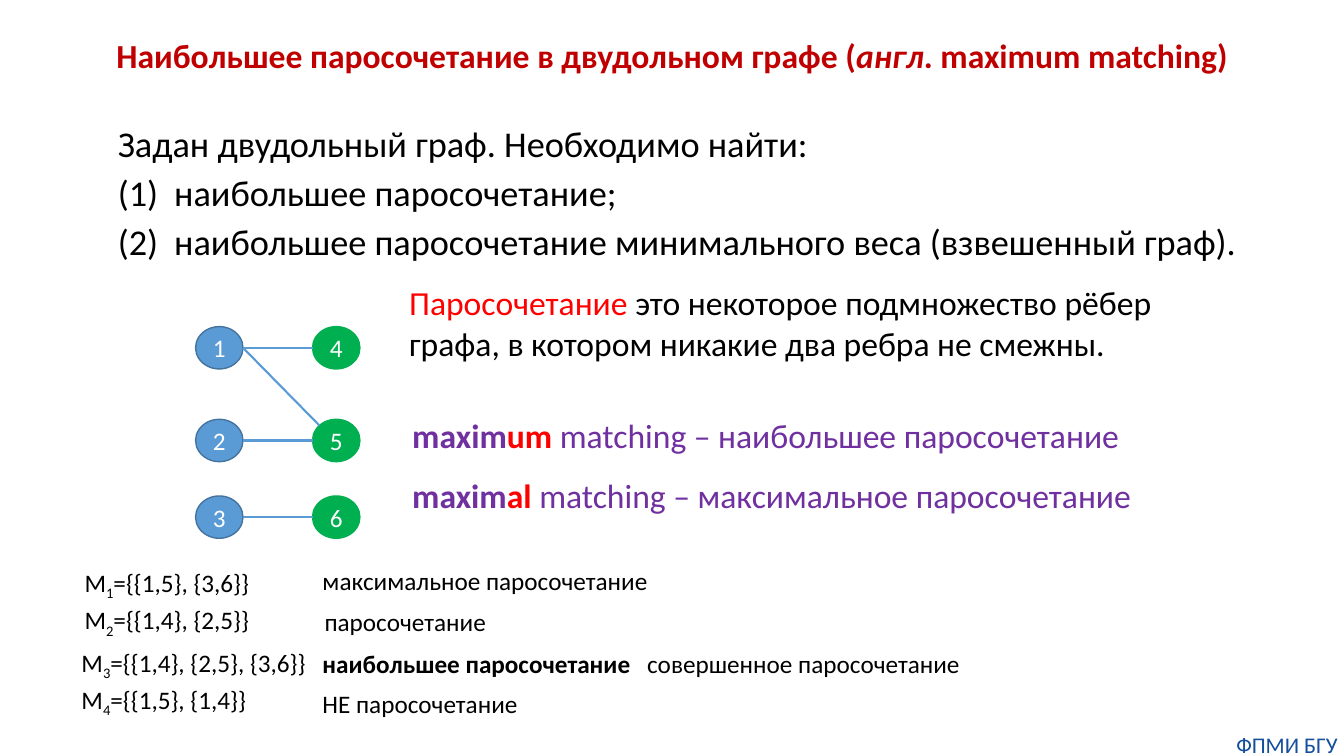
import math

from lxml import etree
from pptx import Presentation
from pptx.dml.color import RGBColor
from pptx.enum.shapes import MSO_CONNECTOR, MSO_SHAPE
from pptx.enum.text import MSO_ANCHOR, MSO_AUTO_SIZE, PP_ALIGN
from pptx.oxml.ns import qn
from pptx.util import Inches, Pt

STRAIGHT = MSO_CONNECTOR.STRAIGHT
ELLIPSE = MSO_SHAPE.OVAL
MIDDLE = MSO_ANCHOR.MIDDLE
FIT_SHAPE = MSO_AUTO_SIZE.SHAPE_TO_FIT_TEXT
CENTER = PP_ALIGN.CENTER

FONT = "Calibri"
BLACK = RGBColor(0x00, 0x00, 0x00)
WHITE = RGBColor(0xFF, 0xFF, 0xFF)
TITLE_RED = RGBColor(0xC0, 0x00, 0x00)
RED = RGBColor(0xFF, 0x00, 0x00)
PURPLE = RGBColor(0x70, 0x30, 0xA0)
BLUE = RGBColor(0x5B, 0x9B, 0xD5)
DARK_BLUE = RGBColor(0x43, 0x73, 0x9E)
GREEN = RGBColor(0x00, 0xB0, 0x50)
FOOTER_BLUE = RGBColor(0x14, 0x4E, 0x9D)

VERTEX_WIDTH = 0.47
VERTEX_HEIGHT = 0.42


def style_paragraph(paragraph, size, color):
    paragraph.font.name = FONT
    paragraph.font.size = Pt(size)
    paragraph.font.color.rgb = color


def add_run(paragraph, text, color=None, bold=None, italic=None, baseline=None):
    run = paragraph.add_run()
    run.text = text
    run.font.bold = bold
    run.font.italic = italic
    if color is not None:
        run.font.color.rgb = color
    if baseline is not None:
        run.font._element.set("baseline", str(baseline))


def add_text(slide, box, runs, size, color=BLACK, wrap=False):
    shape = slide.shapes.add_textbox(*map(Inches, box))
    frame = shape.text_frame
    frame.word_wrap = wrap
    frame.auto_size = FIT_SHAPE
    paragraph = frame.paragraphs[0]
    style_paragraph(paragraph, size, color)
    for text, options in runs:
        add_run(paragraph, text, **options)
    return shape


def add_title(slide, box):
    runs = [
        ("Наибольшее паросочетание в двудольном графе (", {"bold": True}),
        ("англ", {"bold": True, "italic": True}),
        (". maximum matching)", {"bold": True}),
    ]
    shape = add_text(slide, box, runs, 24, TITLE_RED, wrap=True)
    frame = shape.text_frame
    frame.auto_size = MSO_AUTO_SIZE.NONE
    frame.vertical_anchor = MIDDLE
    frame.paragraphs[0].alignment = CENTER
    frame.paragraphs[0].line_spacing = 0.9


def add_task(slide, box):
    frame = slide.shapes.add_textbox(*map(Inches, box)).text_frame
    frame.word_wrap = True
    lines = [
        ("Задан двудольный граф. Необходимо найти:", False),
        ("наибольшее паросочетание;", True),
        ("наибольшее паросочетание минимального веса (взвешенный граф).", True),
    ]
    for index, (text, numbered) in enumerate(lines):
        paragraph = frame.add_paragraph() if index else frame.paragraphs[0]
        style_paragraph(paragraph, 25.9, BLACK)
        paragraph.line_spacing = 0.8
        paragraph.space_before = Pt(10)
        add_run(paragraph, text)
        if numbered:
            properties = paragraph._p.get_or_add_pPr()
            properties.set("marL", str(Inches(0.56)))
            properties.set("indent", str(Inches(-0.56)))
            numbering = etree.Element(qn("a:buAutoNum"), type="arabicParenBoth")
            properties.find(qn("a:spcBef")).addnext(numbering)


def add_vertex(slide, left, top, label, fill, outline):
    shape = slide.shapes.add_shape(
        ELLIPSE, Inches(left), Inches(top), Inches(VERTEX_WIDTH), Inches(VERTEX_HEIGHT)
    )
    shape.shadow.inherit = False
    shape.fill.solid()
    shape.fill.fore_color.rgb = fill
    shape.line.color.rgb = outline
    shape.line.width = Pt(1)
    shape.text_frame.vertical_anchor = MIDDLE
    paragraph = shape.text_frame.paragraphs[0]
    paragraph.alignment = CENTER
    style_paragraph(paragraph, 18, WHITE)
    add_run(paragraph, label)


def add_edge(slide, start, end):
    edge = slide.shapes.add_connector(STRAIGHT, *map(Inches, start + end))
    edge.line.color.rgb = BLUE
    edge.line.width = Pt(1.5)
    etree.SubElement(edge._element.spPr, qn("a:effectLst"))


def add_graph(slide, box):
    left, top, width, height = box
    right = left + width - VERTEX_WIDTH
    rows = [top, top + 0.92, top + height - VERTEX_HEIGHT]
    for number, row in enumerate(rows, 1):
        add_vertex(slide, left, row, str(number), BLUE, DARK_BLUE)
        add_vertex(slide, right, row, str(number + len(rows)), GREEN, GREEN)
    start_x = left + VERTEX_WIDTH
    for row in rows:
        middle = row + VERTEX_HEIGHT / 2
        add_edge(slide, (start_x, middle), (right, middle))
    corner = (1 - math.sqrt(0.5)) / 2
    add_edge(
        slide,
        (start_x, top + VERTEX_HEIGHT / 2),
        (right + corner * VERTEX_WIDTH, rows[1] + corner * VERTEX_HEIGHT),
    )


def add_definitions(slide, box):
    left, top, width, height = box
    definition = [
        ("Паросочетание", {"color": RED}),
        (" это некоторое подмножество рёбер графа, в котором никакие два ребра не смежны.", {}),
    ]
    add_text(slide, (left, top, width, 0.91), definition, 24, wrap=True)
    terms = [
        (1.32, 7.28, "um ", "matching – наибольшее паросочетание"),
        (1.91, 7.36, "al ", "matching – максимальное паросочетание"),
    ]
    for offset, term_width, ending, meaning in terms:
        runs = [
            ("maxim", {"bold": True}),
            (ending, {"bold": True, "color": RED}),
            (meaning, {}),
        ]
        add_text(slide, (left + 0.03, top + offset, term_width, 0.5), runs, 24, PURPLE)


def add_examples(slide, box):
    left, top, width, height = box
    line_height = 0.4
    sets = [
        (0.03, 0.02, 1.9, "={{1,5}, {3,6}}"),
        (0.03, 0.39, 1.86, "={{1,4}, {2,5}}"),
        (0, 0.81, 2.46, "={{1,4}, {2,5}, {3,6}}"),
        (0, 1.18, 1.9, "={{1,5}, {1,4}}"),
    ]
    for number, (x, y, set_width, edges) in enumerate(sets, 1):
        runs = [("M", {}), (str(number), {"baseline": -25000}), (edges, {})]
        add_text(slide, (left + x, top + y, set_width, line_height), runs, 18)
    kinds = [
        (2.39, 0, 3.51, "максимальное паросочетание", None),
        (2.41, 0.41, 1.82, "паросочетание", None),
        (2.39, 0.82, 3.28, "наибольшее паросочетание", True),
        (5.61, 0.82, 3.37, "совершенное паросочетание", None),
        (2.39, 1.22, 2.16, "НЕ паросочетание", None),
    ]
    for x, y, kind_width, text, bold in kinds:
        kind_box = (left + x, top + y, kind_width, line_height)
        add_text(slide, kind_box, [(text, {"bold": bold})], 18)


def add_footer(slide, box):
    frame = add_text(slide, box, [("ФПМИ БГУ", {})], 16, FOOTER_BLUE, wrap=True).text_frame
    frame.margin_left = frame.margin_right = frame.margin_top = frame.margin_bottom = 0
    frame.paragraphs[0].alignment = CENTER


def main():
    presentation = Presentation()
    presentation.slide_width = Inches(13.33)
    presentation.slide_height = Inches(7.5)
    slide = presentation.slides.add_slide(presentation.slide_layouts[6])
    add_title(slide, (0.22, 0.09, 12.89, 0.96))
    add_task(slide, (1.07, 1.24, 11.43, 1.5))
    add_graph(slide, (1.94, 3.24, 1.63, 2.1))
    add_definitions(slide, (3.96, 2.75, 8.44, 2.41))
    add_examples(slide, (0.71, 5.56, 8.98, 1.62))
    add_footer(slide, (12.2, 7.25, 1.13, 0.27))
    presentation.save("out.pptx")


if __name__ == "__main__":
    main()
